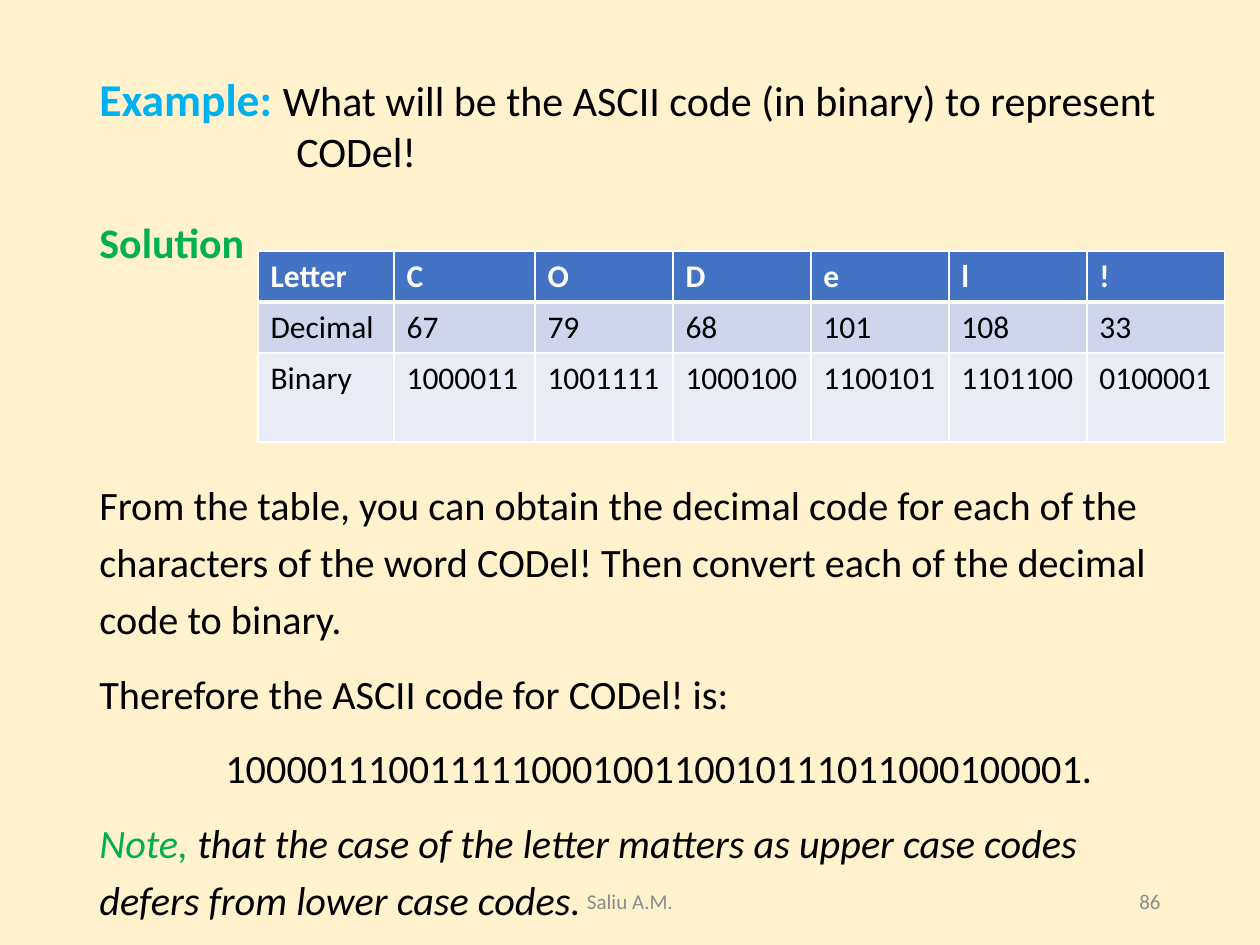
"""Build a slide that works out the ASCII code of a word in binary."""
from lxml import etree
from pptx import Presentation
from pptx.dml.color import RGBColor
from pptx.enum.text import MSO_ANCHOR, PP_ALIGN
from pptx.oxml.ns import qn
from pptx.util import Pt

PX = 914400 // 126
FONT = "Calibri"
CREAM = RGBColor(0xFF, 0xF2, 0xCC)
SKY = RGBColor(0x00, 0xB0, 0xF0)
GREEN = RGBColor(0x00, 0xB0, 0x50)
BLACK = RGBColor(0x00, 0x00, 0x00)
WHITE = RGBColor(0xFF, 0xFF, 0xFF)
GREY = RGBColor(0x8C, 0x8C, 0x8C)
BLUE = RGBColor(0x44, 0x72, 0xC4)
BAND_DARK = RGBColor(0xCF, 0xD5, 0xEA)
BAND_LIGHT = RGBColor(0xE9, 0xEB, 0xF5)
MIDDLE = MSO_ANCHOR.MIDDLE
LEFT, CENTER, RIGHT = PP_ALIGN.LEFT, PP_ALIGN.CENTER, PP_ALIGN.RIGHT


def style(run, size, color, bold=False, italic=False):
    font = run.font
    font.name, font.size, font.color.rgb = FONT, Pt(size), color
    font.bold, font.italic = bold, italic


def add_frame(left, top, width, height):
    box = slide.shapes.add_textbox(left * PX, top * PX, width * PX, height * PX)
    box.text_frame.word_wrap = True
    return box.text_frame


prs = Presentation()
prs.slide_width, prs.slide_height = 1260 * PX, 945 * PX
slide = prs.slides.add_slide(prs.slide_layouts[6])
slide.background.fill.solid()
slide.background.fill.fore_color.rgb = CREAM

# (space before, line spacing, left margin, first indent, runs)
lesson = [
    (0, 1.0, 197, -197, [
        ("Example: ", 26, SKY, True, False),
        ("What will be the ASCII code (in binary) to represent CODel!", 24, BLACK, False, False)]),
    (10, 1.46, 0, 0, [("Solution", 24, GREEN, True, False)]),
    (117, 1.18, 0, 0, [
        ("From the table, you can obtain the decimal code for each of the characters of the word "
         "CODel! Then convert each of the decimal code to binary.", 23, BLACK, False, False)]),
    (10, 1.18, 0, 0, [("Therefore the ASCII code for CODel! is:", 23, BLACK, False, False)]),
    (10, 1.18, 126, 0, [
        ("100001110011111000100110010111011000100001.", 23, BLACK, False, False)]),
    (10, 1.18, 0, 0, [
        ("Note, ", 23, GREEN, False, True),
        ("that the case of the letter matters as upper case codes defers from lower case codes.",
         23, BLACK, False, True)]),
]
body = add_frame(87, 65, 1113, 819)
for index, (before, spacing, margin, indent, pieces) in enumerate(lesson):
    paragraph = body.add_paragraph() if index else body.paragraphs[0]
    paragraph.space_before, paragraph.line_spacing = Pt(before), spacing
    properties = paragraph._p.get_or_add_pPr()
    properties.set("marL", str(margin * PX))
    properties.set("indent", str(indent * PX))
    for text, *look in pieces:
        run = paragraph.add_run()
        run.text = text
        style(run, *look)

codes = [
    ["Letter", "C", "O", "D", "e", "l", "!"],
    ["Decimal", "67", "79", "68", "101", "108", "33"],
    ["Binary", "1000011", "1001111", "1000100", "1100101", "1101100", "0100001"],
]
row_looks = [(51, BLUE, WHITE, True), (51, BAND_DARK, BLACK, False), (89, BAND_LIGHT, BLACK, False)]
column_widths = [136, 141] + [138] * 5
table = slide.shapes.add_table(
    3, 7, 258 * PX, 251 * PX, sum(column_widths) * PX, 191 * PX).table
for column, width in zip(table.columns, column_widths):
    column.width = width * PX
for r, (values, (height, fill, color, bold)) in enumerate(zip(codes, row_looks)):
    table.rows[r].height = height * PX
    for c, value in enumerate(values):
        cell = table.cell(r, c)
        cell.text_frame.text = value
        style(cell.text_frame.paragraphs[0].runs[0], 18, color, bold)
        properties = cell._tc.get_or_add_tcPr()
        for side in ("lnL", "lnR", "lnT", "lnB"):
            thick = (r, side) in ((0, "lnB"), (1, "lnT"))
            border = etree.SubElement(properties, qn("a:" + side), w=str(Pt(3 if thick else 1)))
            solid = etree.SubElement(border, qn("a:solidFill"))
            etree.SubElement(solid, qn("a:srgbClr"), val=str(WHITE))
        cell.fill.solid()
        cell.fill.fore_color.rgb = fill

for text, left, width, align in (("Saliu A.M.", 417, 426, CENTER), ("86", 890, 283, RIGHT)):
    footer = add_frame(left, 876, width, 50)
    footer.vertical_anchor = MIDDLE
    footer.text = text
    footer.paragraphs[0].alignment = align
    style(footer.paragraphs[0].runs[0], 12, GREY)

prs.save("out.pptx")
